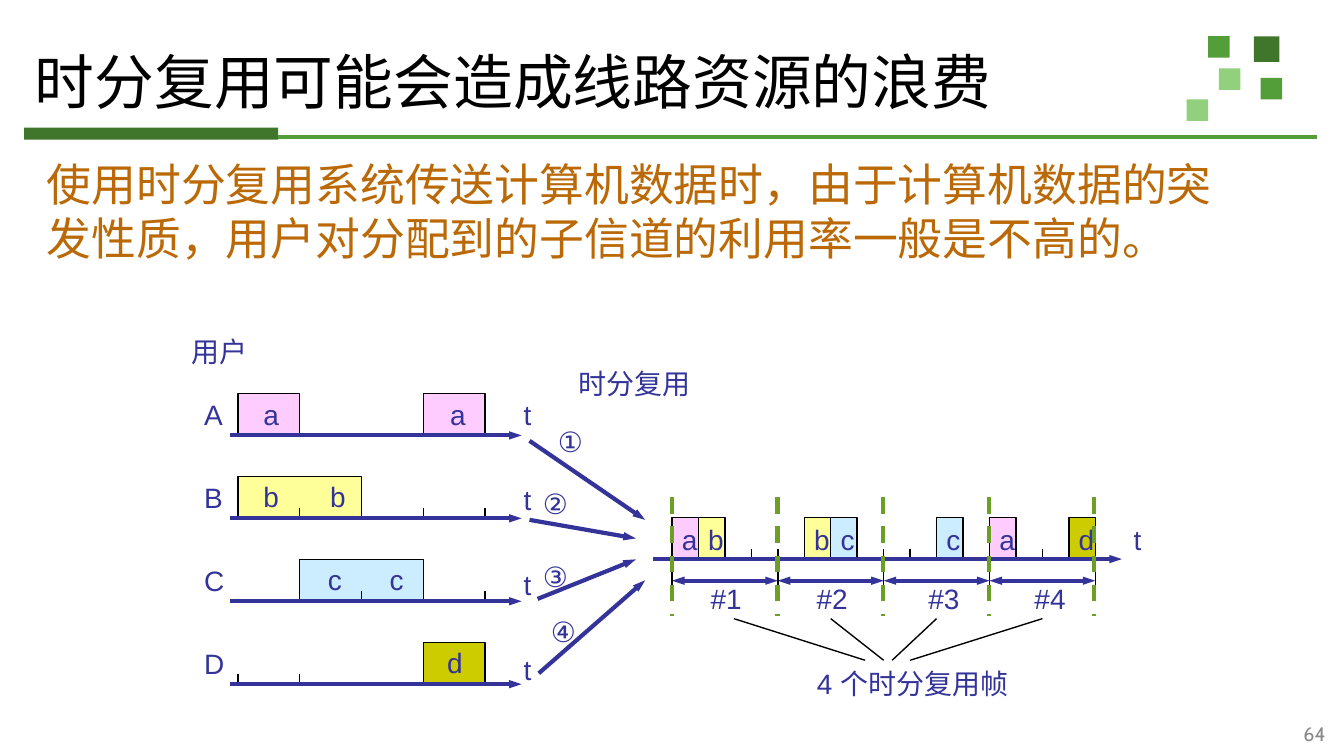
from dataclasses import dataclass

from lxml import etree
from pptx import Presentation
from pptx import util as u
from pptx.dml.color import RGBColor
from pptx.enum import dml, shapes, text
from pptx.oxml import ns

INK, BLACK = "333399", "000000"
DARK, GREEN, LIGHT = "3F762B", "549E39", "93D07D"
FILLS = {"a": "FFCCFF", "b": "FFFF99", "c": "CCECFF", "d": "CCCC00"}
LANES = [
    ("A", [(0, 1, "a"), (3, 1, "a")], [], [0.2, 3.22]),
    ("B", [(0, 2, "b")], [1, 3, 4], [0.2, 1.28]),
    ("C", [(1, 2, "c")], [2, 4], [1.24, 2.24]),
    ("D", [(3, 1, "d")], [0, 1, 3], [3.17]),
]
SLOTS = [(0, "a"), (1, "b"), (5, "b"), (6, "c"), (10, "c"), (12, "a"), (15, "d")]
FRAMES = [(0.96, 2.34, 7.3), (4.97, 6, 8), (9.19, 10, 8.32), (13.2, 14, 9)]
LINKS = [
    ("①", 0.13, -0.1, (0, 0), (1, 0.34)),
    ("②", 0, 0.17, (0, 0.34), (0.92, 0.42)),
    ("③", 0, 0.48, (0.07, 0.68), (0.92, 0.51)),
    ("④", 0.07, 0.72, (0.08, 1), (1, 0.6)),
]


@dataclass
class Grid:
    """Origin and cell size of a region, in inches."""
    left: float
    top: float
    col: float
    row: float

    def at(self, col, row):
        """Return the position of a grid point."""
        return u.Inches(self.left + col * self.col), u.Inches(self.top + row * self.row)


def color(value):
    """Turn a hex string into a colour."""
    return RGBColor.from_string(value)


def add_text(page, spot, width, height, words, size=15, font="Arial", ink=INK, wrap=False):
    """Place a line or paragraph of text and return its box."""
    box = page.shapes.add_textbox(*spot, u.Inches(width), u.Inches(height))
    frame = box.text_frame
    frame.text = words
    frame.word_wrap = wrap
    span = frame.paragraphs[0].runs[0]
    span.font.size, span.font.name = u.Pt(size), font
    span.font.color.rgb = color(ink)
    asian = etree.SubElement(span.font._element, ns.qn("a:ea"))
    asian.set("typeface", "Noto Sans CJK SC")
    return box


def add_label(page, spot, words, width=0.32):
    """Place a small diagram label."""
    box = add_text(page, spot, width, 0.35, words)
    box.text_frame.auto_size = text.MSO_AUTO_SIZE.SHAPE_TO_FIT_TEXT


def add_line(page, start, end, ink=BLACK, width=0.75, arrows=(), dash=None):
    """Draw a straight line with optional arrowheads or dashes."""
    line = page.shapes.add_connector(shapes.MSO_CONNECTOR.STRAIGHT, *start, *end)
    line.line.color.rgb = color(ink)
    line.line.width = u.Pt(width)
    if dash:
        line.line.dash_style = dash
    for name in arrows:
        head = etree.SubElement(line.line._get_or_add_ln(), ns.qn(f"a:{name}"))
        head.set("type", "triangle")
        head.set("w", "sm")
    etree.SubElement(line._element.spPr, ns.qn("a:effectLst"))


def add_bar(page, spot, width, height, fill):
    """Draw a plain filled rectangle."""
    bar = page.shapes.add_shape(shapes.MSO_SHAPE.RECTANGLE, *spot, u.Inches(width), u.Inches(height))
    bar.shadow.inherit = False
    bar.fill.solid()
    bar.fill.fore_color.rgb = color(fill)
    bar.line.fill.background()


def add_block(page, grid, col, row, span, letter):
    """Draw a data block, open at its base, standing on an axis."""
    start = grid.at(col, row)
    points = [grid.at(col, row - 1), grid.at(col + span, row - 1), grid.at(col + span, row)]
    outline = page.shapes.build_freeform(*start, scale=1.0)
    outline.add_line_segments(points, close=False)
    block = outline.convert_to_shape()
    block.shadow.inherit = False
    block.fill.solid()
    block.fill.fore_color.rgb = color(FILLS[letter])
    block.line.color.rgb = color(BLACK)
    block.line.width = u.Pt(0.75)


def add_axis(page, grid, row, first, last, ticks):
    """Draw a time axis with slot ticks."""
    for col in ticks:
        add_line(page, grid.at(col, row - 0.25), grid.at(col, row))
    add_line(page, grid.at(first, row), grid.at(last, row), INK, 2.25, ["tailEnd"])


def draw_header(page, grid):
    """Draw the corner squares, the title and its rule."""
    squares = [(3.12, 0, 0.19, DARK), (1, 0, 0.16, GREEN), (3.44, 1.94, 0.16, GREEN),
               (1.5, 1.5, 0.16, LIGHT), (0, 2.94, 0.16, LIGHT)]
    for col, row, size, fill in squares:
        add_bar(page, grid.at(col, row), size, size, fill)
    sheet = Grid(0, 0, 1, 1)
    add_bar(page, sheet.at(0.18, 0.95), 1.89, 0.09, DARK)
    add_line(page, sheet.at(2.07, 1.02), sheet.at(9.8, 1.02), GREEN, 2)
    title = add_text(page, sheet.at(0.19, 0.28), 9.39, 0.71, "时分复用可能会造成线路资源的浪费",
                     32, "Times New Roman", BLACK, True)
    frame = title.text_frame
    frame.vertical_anchor = text.MSO_ANCHOR.MIDDLE
    frame.margin_left = frame.margin_right = u.Inches(0.07)
    frame.margin_top = frame.margin_bottom = u.Inches(0.04)
    frame.paragraphs[0].line_spacing = 0.9


def draw_users(page, grid):
    """Draw one lane of time slots for each user."""
    add_label(page, grid.at(-0.96, -2.58), "用户", 0.62)
    for index, (name, blocks, ticks, letters) in enumerate(LANES):
        row = 1.99 * index
        for col, span, letter in blocks:
            add_block(page, grid, col, row, span, letter)
        add_axis(page, grid, row, -0.13, 4.59, ticks)
        add_label(page, grid.at(-0.76, row - 1.07), name, 0.34)
        add_label(page, grid.at(4.41, 2.04 * index - 1.07), "t", 0.26)
        for col in letters:
            add_label(page, grid.at(col, row - 1.08), name.lower())


def draw_links(page, grid):
    """Draw the numbered arrows from the users to the shared line."""
    add_label(page, grid.at(0.31, -0.35), "时分复用", 1.04)
    for number, col, row, start, end in LINKS:
        add_line(page, grid.at(*start), grid.at(*end), INK, 2.25, ["tailEnd"])
        add_label(page, grid.at(col, row), number, 0.41)


def draw_shared_line(page, grid):
    """Draw the multiplexed line with its four frames."""
    for col, letter in SLOTS:
        add_block(page, grid, col, 0, 1, letter)
    add_axis(page, grid, 0, -0.7, 17, [2, 3, 4, 8, 9, 14])
    for col, letter in SLOTS:
        add_label(page, grid.at(col - 0.13, -1.03), letter)
    add_label(page, grid.at(16.95, -1.03), "t", 0.26)
    for index, (label, start, end) in enumerate(FRAMES):
        left = 4 * index
        add_line(page, grid.at(left, 0.52), grid.at(left + 4, 0.52), INK, 2.25, ["headEnd", "tailEnd"])
        add_label(page, grid.at(label, 0.39), f"#{index + 1}", 0.44)
        add_line(page, grid.at(start, 1.43), grid.at(end, 2.43))
    for edge in range(5):
        add_line(page, grid.at(4 * edge, 0.26), grid.at(4 * edge, 0.75))
        add_line(page, grid.at(3.99 * edge, -1.49), grid.at(3.99 * edge, 1.36),
                 "6B9F25", 2.25, dash=dml.MSO_LINE.DASH)
    add_text(page, grid.at(4.98, 2.42), 1.64, 0.35, "4 个时分复用帧", wrap=True)


def main():
    """Build and save the slide."""
    deck = Presentation()
    deck.slide_width = u.Inches(10)
    deck.slide_height = deck.slide_width * 9 // 16
    page = deck.slides.add_slide(deck.slide_layouts[6])
    draw_header(page, Grid(8.83, 0.27, 0.16, 0.16))
    draw_users(page, Grid(1.77, 3.24, 0.46, 0.31))
    draw_links(page, Grid(3.94, 3.28, 0.86, 1.73))
    draw_shared_line(page, Grid(5, 4.16, 3.15 / 16, 0.31))
    sheet = Grid(0, 0, 1, 1)
    add_text(page, sheet.at(0.25, 1.12), 9.1, 0.91,
             "使用时分复用系统传送计算机数据时，由于计算机数据的突发性质，用户对分配到的子信道的利用率一般是不高的。",
             24, "Noto Sans CJK SC", "BA6906", True)
    number = add_text(page, sheet.at(9.38, 5.32), 0.58, 0.3, "64", 10.5, "Cabin", "898989", True)
    number.text_frame.paragraphs[0].alignment = text.PP_ALIGN.RIGHT
    deck.save("out.pptx")


if __name__ == "__main__":
    main()
